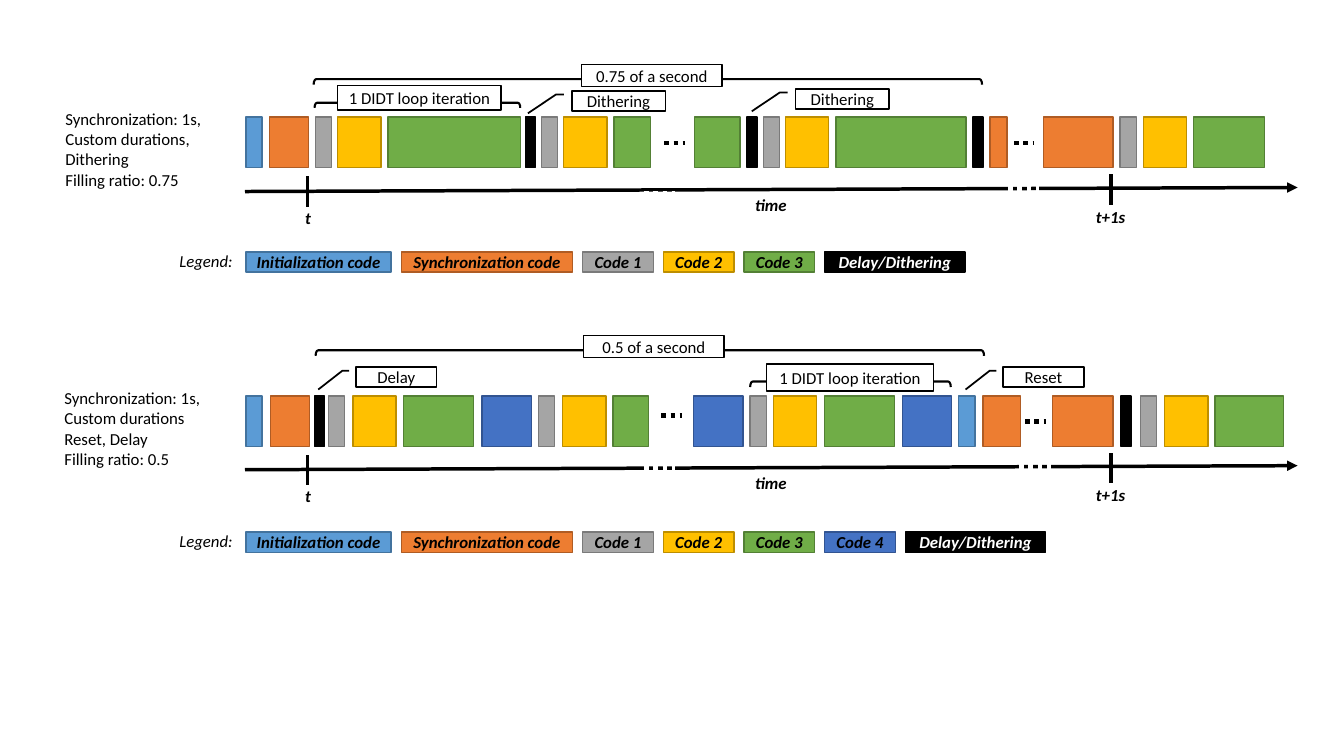
import lxml.etree
import pptx
import pptx.util
import pptx.dml.color
import pptx.enum.dml
import pptx.enum.shapes
import pptx.enum.text
import pptx.oxml.ns

Inches = pptx.util.Inches
SHAPE = pptx.enum.shapes.MSO_SHAPE
ALIGN = pptx.enum.text.PP_ALIGN

THEME = {
    "font": "Calibri", "size": 12, "ink": "000000", "paper": "FFFFFF",
    "bar_line": 1, "callout_line": 1.25, "brace_line": 1.5, "axis_line": 2.5, "dot_line": 3.25,
    "codes": {
        "init": ("5B9BD5", "43739E"), "sync": ("ED7D31", "AF5C24"),
        "code1": ("A5A5A5", "7A7A7A"), "code2": ("FFC000", "BD8E00"),
        "code3": ("70AD47", "538035"), "code4": ("4472C4", "325491"),
        "delay": ("000000", "000000"),
    },
}
LEGEND = {
    "init": ("Initialization code", 1.44), "sync": ("Synchronization code", 1.7),
    "code1": ("Code 1", 0.7), "code2": ("Code 2", 0.7), "code3": ("Code 3", 0.7),
    "code4": ("Code 4", 0.7), "delay": ("Delay/Dithering", 1.39),
}
BAR_HEIGHT, LABEL_HEIGHT, LEGEND_LEFT, LEGEND_GAP = 0.5, 0.2, 2.44, 0.1

TIMELINES = [
    {
        "notes": ["Synchronization: 1s, Custom durations, Dithering", "Filling ratio: 0.75"],
        "notes_at": (0.55, 1.03), "bars_top": 1.16, "axis": 1.9, "legend_top": 2.5,
        "legend": ["init", "sync", "code1", "code2", "code3", "delay"],
        "bars": [
            ("init", 2.44, 0.16), ("sync", 2.67, 0.39), ("code1", 3.13, 0.16),
            ("code2", 3.35, 0.43), ("code3", 3.85, 1.31), ("delay", 5.21, 0.1),
            ("code1", 5.37, 0.16), ("code2", 5.59, 0.43), ("code3", 6.09, 0.36),
            ("code3", 6.89, 0.45), ("delay", 7.41, 0.1), ("code1", 7.57, 0.16),
            ("code2", 7.79, 0.43), ("code3", 8.29, 1.29), ("delay", 9.65, 0.1),
            ("sync", 9.82, 0.17), ("sync", 10.35, 0.69), ("code1", 11.11, 0.16),
            ("code2", 11.34, 0.43), ("code3", 11.84, 0.7),
        ],
        "dots": [(6.59, 1.42), (10.06, 1.42)],
        "axis_gaps": [(6.39, 1.92), (10, 1.87)],
        "braces": [(3.11, 0.73, 6.63, 0.11), (3.12, 0.97, 2.04, 0.1)],
        "spans": [("0.75 of a second", 5.77, 0.64, 1.39, 0.22),
                  ("1 DIDT loop iteration", 3.35, 0.85, 1.62, 0.24)],
        "callouts": [("Dithering", 5.67, 0.9, 0.93), ("Dithering", 7.89, 0.88, 0.93)],
    },
    {
        "notes": ["Synchronization: 1s,", "Custom durations", "Reset, Delay", "Filling ratio: 0.5"],
        "notes_at": (0.54, 3.8), "bars_top": 3.93, "axis": 4.66, "legend_top": 5.28,
        "legend": ["init", "sync", "code1", "code2", "code3", "code4", "delay"],
        "bars": [
            ("init", 2.44, 0.16), ("sync", 2.68, 0.39), ("delay", 3.12, 0.1),
            ("code1", 3.26, 0.16), ("code2", 3.5, 0.43), ("code3", 4, 0.7),
            ("code4", 4.78, 0.49), ("code1", 5.34, 0.16), ("code2", 5.58, 0.43),
            ("code3", 6.08, 0.35), ("code4", 6.88, 0.49), ("code1", 7.44, 0.16),
            ("code2", 7.67, 0.43), ("code3", 8.18, 0.69), ("code4", 8.95, 0.49),
            ("init", 9.51, 0.16), ("sync", 9.75, 0.37), ("sync", 10.44, 0.6),
            ("delay", 11.12, 0.1), ("code1", 11.31, 0.16), ("code2", 11.55, 0.43),
            ("code3", 12.05, 0.68),
        ],
        "dots": [(6.56, 4.12), (10.17, 4.18)],
        "axis_gaps": [(6.39, 4.65), (10.11, 4.63)],
        "braces": [(3.13, 3.42, 6.63, 0.11), (7.44, 3.73, 1.99, 0.11)],
        "spans": [("0.5 of a second", 5.79, 3.33, 1.39, 0.22),
                  ("1 DIDT loop iteration", 7.6, 3.61, 1.66, 0.27)],
        "callouts": [("Delay", 3.53, 3.64, 0.8), ("Reset", 9.95, 3.64, 0.8)],
    },
]


def rgb(value):
    return pptx.dml.color.RGBColor.from_string(value)


def write(frame, lines, align, color=THEME["ink"], **style):
    frame.word_wrap = True
    for index, line in enumerate(lines):
        para = frame.paragraphs[0] if index == 0 else frame.add_paragraph()
        para.alignment = align
        span = para.add_run()
        span.text = line
        span.font.color.rgb = rgb(color)
        formats = {"name": THEME["font"], "size": pptx.util.Pt(THEME["size"]), **style}
        for name, value in formats.items():
            setattr(span.font, name, value)


def add_text(page, lines, left, top, width, height, align=ALIGN.LEFT, **style):
    box = page.shapes.add_textbox(Inches(left), Inches(top), Inches(width), Inches(height))
    write(box.text_frame, lines, align, **style)
    box.text_frame.auto_size = pptx.enum.text.MSO_AUTO_SIZE.SHAPE_TO_FIT_TEXT


def add_box(page, kind, left, top, width, height, fill, line, weight, text=None, **style):
    box = page.shapes.add_shape(kind, Inches(left), Inches(top), Inches(width), Inches(height))
    box.shadow.inherit = False
    if fill:
        box.fill.solid()
        box.fill.fore_color.rgb = rgb(fill)
    else:
        box.fill.background()
    box.line.color.rgb = rgb(line)
    box.line.width = pptx.util.Pt(weight)
    if text:
        frame = box.text_frame
        for side in ("left", "right", "top", "bottom"):
            setattr(frame, f"margin_{side}", 0)
        frame.vertical_anchor = pptx.enum.text.MSO_ANCHOR.MIDDLE
        write(frame, [text], ALIGN.CENTER, **style)
    return box


def add_line(page, start, end, color, weight, dotted=False, arrow=False):
    line = page.shapes.add_connector(
        pptx.enum.shapes.MSO_CONNECTOR.STRAIGHT, *map(Inches, start + end))
    line.line.color.rgb = rgb(color)
    line.line.width = pptx.util.Pt(weight)
    if dotted:
        line.line.dash_style = pptx.enum.dml.MSO_LINE.ROUND_DOT
    properties = line._element.spPr
    qn = pptx.oxml.ns.qn
    if arrow:
        lxml.etree.SubElement(properties.find(qn("a:ln")), qn("a:tailEnd"), type="triangle")
    lxml.etree.SubElement(properties, qn("a:effectLst"))


def add_brace(page, left, top, span, depth):
    shift = (span - depth) / 2
    brace = add_box(page, SHAPE.LEFT_BRACE, left + shift, top - shift, depth, span,
                    None, THEME["ink"], THEME["brace_line"])
    brace.rotation = 90
    brace.adjustments[0] = 0.23
    brace.adjustments[1] = 0.5


def add_axis(page, axis, gaps):
    ink, weight = THEME["ink"], THEME["axis_line"]
    add_line(page, (2.43, axis), (12.87, axis - 0.04), ink, weight, arrow=True)
    for middle, center in ((3.05, axis), (11.02, axis - 0.02)):
        add_line(page, (middle, center + 0.15), (middle, center - 0.15), ink, weight)
    for text, left, drop in (("time", 7.24, -0.02), ("t", 2.65, 0.11), ("t+1s", 10.61, 0.1)):
        add_text(page, [text], left, axis + drop, 0.81, 0.3, ALIGN.CENTER, bold=True, italic=True)
    for left, top in gaps:
        add_line(page, (left, top), (left + 0.31, top), THEME["paper"], THEME["dot_line"], dotted=True)


def add_legend(page, codes, top):
    add_text(page, ["Legend:"], 1.68, top - 0.06, 0.76, 0.3, italic=True)
    left = LEGEND_LEFT
    for code in codes:
        text, width = LEGEND[code]
        color = THEME["paper"] if code == "delay" else THEME["ink"]
        add_box(page, SHAPE.RECTANGLE, left, top, width, LABEL_HEIGHT, *THEME["codes"][code],
                THEME["bar_line"], text, color=color, bold=True, italic=True)
        left += width + LEGEND_GAP


def add_timeline(page, row):
    ink, paper = THEME["ink"], THEME["paper"]
    add_axis(page, row["axis"], row["axis_gaps"])
    for code, left, width in row["bars"]:
        add_box(page, SHAPE.RECTANGLE, left, row["bars_top"], width, BAR_HEIGHT,
                *THEME["codes"][code], THEME["bar_line"])
    for left, top in row["dots"]:
        add_line(page, (left, top), (left + 0.2, top), ink, THEME["dot_line"], dotted=True)
    add_legend(page, row["legend"], row["legend_top"])
    add_text(page, row["notes"], *row["notes_at"], 1.77, 0.91)
    for brace in row["braces"]:
        add_brace(page, *brace)
    for text, *place in row["spans"]:
        add_box(page, SHAPE.RECTANGLE, *place, paper, ink, THEME["bar_line"], text)
    for text, *place in row["callouts"]:
        add_box(page, SHAPE.LINE_CALLOUT_2, *place, LABEL_HEIGHT, paper, ink,
                THEME["callout_line"], text)


def main():
    deck = pptx.Presentation()
    deck.slide_width, deck.slide_height = Inches(13.33), Inches(7.5)
    page = deck.slides.add_slide(deck.slide_layouts[6])
    for row in TIMELINES:
        add_timeline(page, row)
    deck.save("out.pptx")


if __name__ == "__main__":
    main()
